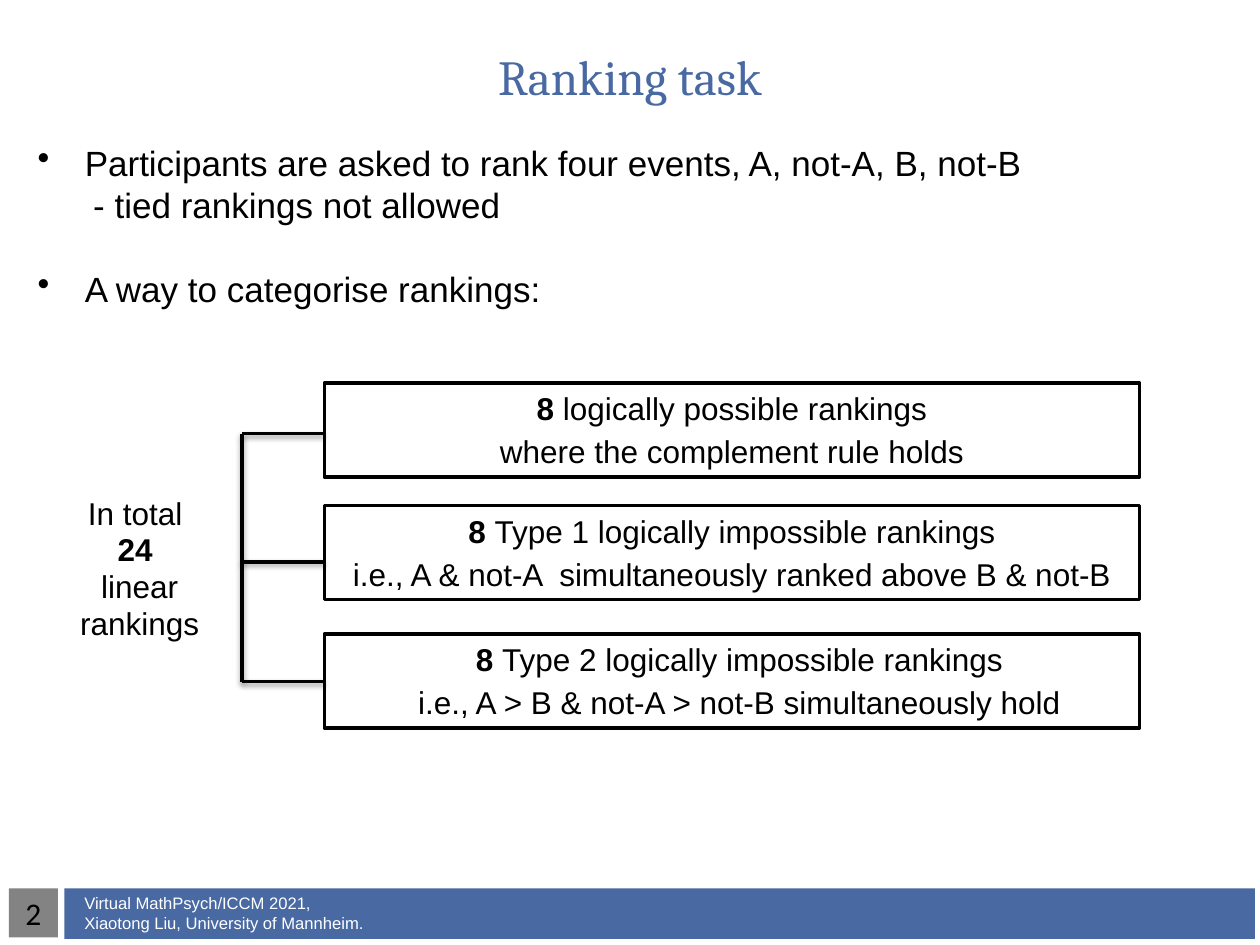
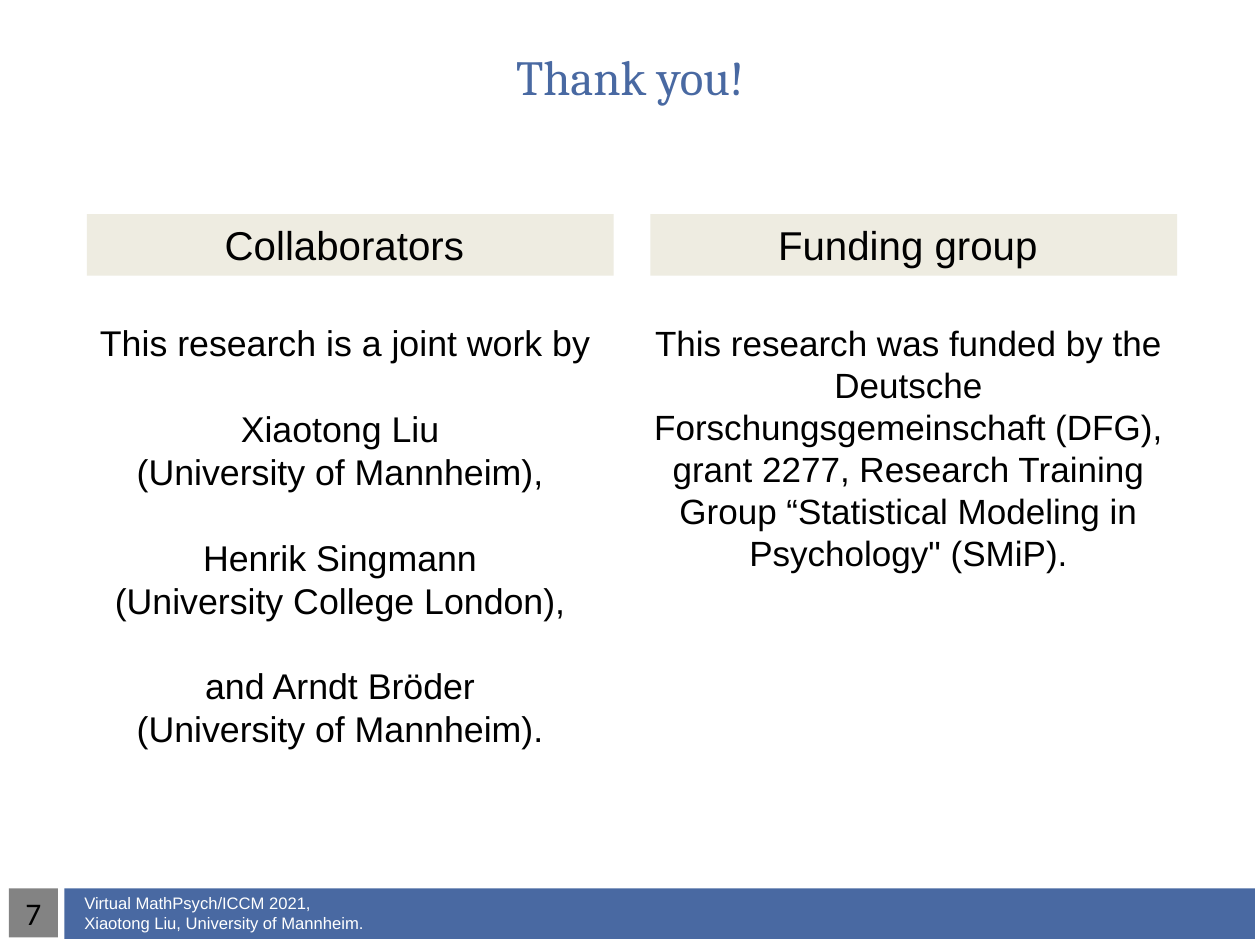
import dataclasses

import pptx
import pptx.dml.color
import pptx.enum.shapes
import pptx.enum.text
import pptx.oxml
import pptx.oxml.ns
import pptx.util
from lxml import etree

Cm = pptx.util.Cm
Pt = pptx.util.Pt
ALIGN = pptx.enum.text.PP_ALIGN
ANCHOR = pptx.enum.text.MSO_ANCHOR


@dataclasses.dataclass(frozen=True)
class Theme:
    """Colours, fonts and type sizes of the deck."""
    blue: str = "4969A2"
    grey: str = "838383"
    sand: str = "EEECE1"
    black: str = "000000"
    white: str = "FFFFFF"
    title_font: str = "Cambria"
    body_font: str = "Arial"
    number_font: str = "Calibri"
    title: float = 28
    heading: float = 23
    credits: float = 20.4
    body: float = 20
    diagram: float = 18
    footer: float = 9.5
    line: float = 2


@dataclasses.dataclass(frozen=True)
class Para:
    """A paragraph with an optional bold lead; indents in cm, spacing in points."""
    text: str
    lead: str = ""
    margin: float = 0
    indent: float = 0
    bullet: str = ""
    before: float = 0
    leading: float = 0


THEME = Theme()
FOOTER = ("Virtual MathPsych/ICCM 2021,", "Xiaotong Liu, University of Mannheim.")


def rgb(value):
    """Return a colour object for a hex value."""
    return pptx.dml.color.RGBColor.from_string(value)


def style(p, size, font=THEME.body_font, color=THEME.black, align=ALIGN.CENTER):
    """Format a whole paragraph."""
    p.alignment = align
    p.font.size = Pt(size)
    p.font.name = font
    p.font.color.rgb = rgb(color)


def indent(p, para):
    """Set the margin, first-line indent and bullet of a paragraph."""
    pPr = p._p.get_or_add_pPr()
    pPr.set("marL", str(Cm(para.margin)))
    pPr.set("indent", str(Cm(para.indent)))
    if para.bullet:
        mark = pptx.oxml.parse_xml(
            f'<a:buChar {pptx.oxml.ns.nsdecls("a")} char="{para.bullet}"/>')
        pPr.insert_element_before(mark, "a:tabLst", "a:defRPr", "a:extLst")


def write(tf, paras, size, inset=None, anchor=ANCHOR.TOP, **look):
    """Fill a text frame with strings or Para objects."""
    tf.word_wrap = True
    tf.vertical_anchor = anchor
    if inset is not None:
        tf.margin_left = tf.margin_right = tf.margin_top = tf.margin_bottom = Cm(inset)
    for i, para in enumerate(paras):
        if isinstance(para, str):
            para = Para(para)
        p = tf.add_paragraph() if i else tf.paragraphs[0]
        style(p, size, **look)
        indent(p, para)
        if para.before:
            p.space_before = Pt(para.before)
        if para.leading:
            p.line_spacing = Pt(para.leading)
        if para.lead:
            r = p.add_run()
            r.text = para.lead
            r.font.bold = True
        if para.text:
            p.add_run().text = para.text


def add_text(s, left, top, width, height, paras, size, **look):
    """Add a wrapping text box."""
    sp = s.shapes.add_textbox(Cm(left), Cm(top), Cm(width), Cm(height))
    write(sp.text_frame, paras, size, **look)


def add_box(s, left, top, width, height, fill=None, line=None):
    """Add a rectangle that is filled or outlined, and return it."""
    sp = s.shapes.add_shape(pptx.enum.shapes.MSO_SHAPE.RECTANGLE,
                            Cm(left), Cm(top), Cm(width), Cm(height))
    sp.shadow.inherit = False
    if fill:
        sp.fill.solid()
        sp.fill.fore_color.rgb = rgb(fill)
    else:
        sp.fill.background()
    if line:
        sp.line.color.rgb = rgb(line)
        sp.line.width = Pt(THEME.line)
    else:
        sp.line.fill.background()
    return sp


def add_line(s, x1, y1, x2, y2):
    """Add a straight black line with a soft shadow below it."""
    cxn = s.shapes.add_connector(pptx.enum.shapes.MSO_CONNECTOR.STRAIGHT,
                                 Cm(x1), Cm(y1), Cm(x2), Cm(y2))
    cxn.line.color.rgb = rgb(THEME.black)
    cxn.line.width = Pt(THEME.line)
    qn = pptx.oxml.ns.qn
    effects = etree.SubElement(cxn._element.spPr, qn("a:effectLst"))
    shadow = etree.SubElement(effects, qn("a:outerShdw"), blurRad=str(Pt(3.1)),
                              dist=str(Pt(1.6)), dir="5400000", rotWithShape="0")
    color = etree.SubElement(shadow, qn("a:srgbClr"), val=THEME.black)
    etree.SubElement(color, qn("a:alpha"), val="38000")


def add_slide(prs, title, number):
    """Add a slide with its footer band, page number and title."""
    s = prs.slides.add_slide(prs.slide_layouts[5])
    add_box(s, 1.3, 17.91, 24, 1.02, fill=THEME.blue)
    page = add_box(s, 0.18, 17.91, 0.99, 0.99, fill=THEME.grey)
    write(page.text_frame, [str(number)], THEME.diagram, inset=0,
          anchor=ANCHOR.MIDDLE, font=THEME.number_font)
    add_text(s, 1.7, 17.91, 10, 0.99, FOOTER, THEME.footer, inset=0,
             anchor=ANCHOR.MIDDLE, color=THEME.white, align=ALIGN.LEFT)
    sp = s.shapes.title
    sp.left, sp.top, sp.width, sp.height = Cm(1.27), Cm(0.76), Cm(22.86), Cm(1.55)
    sp.text_frame.auto_size = pptx.enum.text.MSO_AUTO_SIZE.NONE
    write(sp.text_frame, [title], THEME.title, anchor=ANCHOR.MIDDLE,
          font=THEME.title_font, color=THEME.blue)
    return s


def add_ranking_tree(s):
    """Draw the total count branching into three kinds of ranking."""
    total = [("In total ", ""), ("", "24 "), ("linear", ""), (" rankings ", "")]
    add_text(s, 0, 10.06, 5.33, 3.35,
             [Para(text, lead, indent=0.3, before=6, leading=15)
              for text, lead in total], THEME.diagram)
    kinds = [
        (7.72, 8.74, 0, "logically possible rankings",
         "where the complement rule holds"),
        (10.19, 11.33, 0, "Type 1 logically impossible rankings",
         "i.e., A & not-A  simultaneously ranked above B & not-B"),
        (12.78, 13.74, 0.3, "Type 2 logically impossible rankings",
         "i.e., A > B & not-A > not-B simultaneously hold"),
    ]
    trunk, box_left = 4.88, 6.54
    for top, branch, shift, name, rule in kinds:
        add_line(s, trunk, branch, box_left, branch)
        sp = add_box(s, box_left, top, 16.43, 1.9, line=THEME.black)
        write(sp.text_frame, [Para(name, "8 ", indent=shift, before=3),
                              Para(rule, indent=shift, before=3)], THEME.diagram)
    add_line(s, trunk, kinds[0][1], trunk, kinds[-1][1])


def add_column(s, left, heading, paras, size):
    """Add a shaded heading with centred text below it."""
    add_text(s, left - 0.18, 6.35, 10.77, 7.72, paras, size)
    sp = add_box(s, left, 4.32, 10.62, 1.24, fill=THEME.sand)
    write(sp.text_frame, [heading], THEME.heading)


def add_ranking_slide(prs):
    """Build the slide on the ranking task."""
    s = add_slide(prs, "Ranking task", 2)
    add_text(s, 0.51, 2.72, 24.2, 4, [
        Para("Participants are asked to rank four events, A, not-A, B, not-B",
             margin=0.95, indent=-0.95, bullet="•"),
        Para("- tied rankings not allowed", margin=1.12),
        Para("A way to categorise rankings:",
             margin=0.95, indent=-0.95, bullet="•", before=24),
    ], THEME.body, align=ALIGN.LEFT)
    add_ranking_tree(s)


def add_thanks_slide(prs):
    """Build the closing slide with collaborators and funding."""
    s = add_slide(prs, "Thank you!", 7)
    people = [
        ("Xiaotong Liu ", "(University of Mannheim), "),
        ("Henrik Singmann ", "(University College London), "),
        ("and Arndt Bröder ", "(University of Mannheim). "),
    ]
    credits = ["This research is a joint work by"]
    for name, university in people:
        credits += [Para(name, before=24.5), university]
    add_column(s, 1.75, "Collaborators ", credits, THEME.credits)
    add_column(s, 13.11, "Funding group ", [
        "This research was funded by the Deutsche Forschungsgemeinschaft (DFG), "
        "grant 2277, Research Training Group “Statistical Modeling in "
        "Psychology\" (SMiP)."], THEME.body)


def main():
    """Build and save the deck."""
    prs = pptx.Presentation()
    prs.slide_width, prs.slide_height = Cm(25.4), Cm(19.05)
    add_ranking_slide(prs)
    add_thanks_slide(prs)
    prs.save("out.pptx")


if __name__ == "__main__":
    main()
